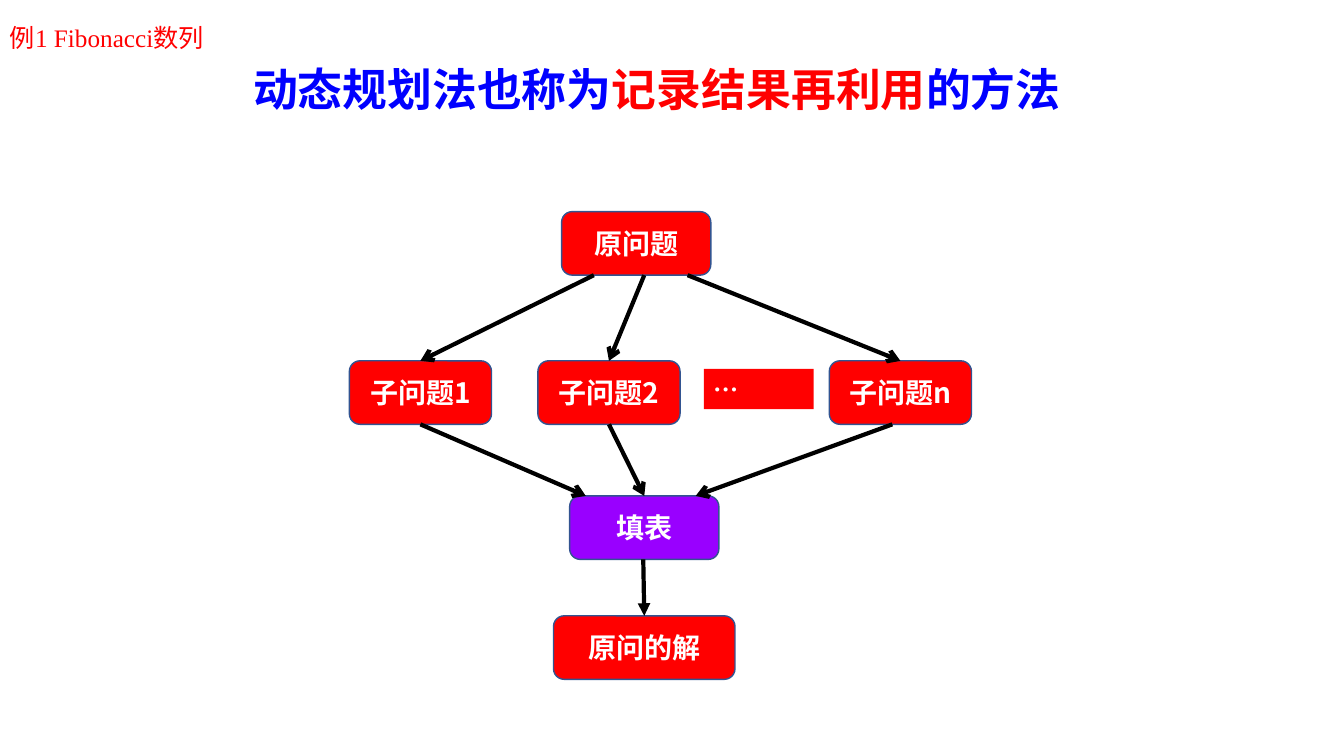
from lxml.etree import SubElement
from pptx import Presentation
from pptx.dml.color import RGBColor
from pptx.enum.lang import MSO_LANGUAGE_ID
from pptx.enum.shapes import MSO_CONNECTOR, MSO_SHAPE
from pptx.enum.text import MSO_ANCHOR, MSO_AUTO_SIZE, PP_ALIGN
from pptx.oxml.ns import qn
from pptx.util import Inches, Pt

COLORS = {"red": "FF0000", "blue": "0000FF", "purple": "9900FF",
          "outline": "325491", "white": "FFFFFF", "black": "000000"}
CJK, LATIN, SERIF = "Noto Sans CJK SC", "Arial", "Times New Roman"

# Rows of the flow chart, and the centre column of each sub-problem
ROW = {"problem": 2.1, "parts": 3.58, "table": 4.92, "answer": 6.11}
COLUMN = {"子问题1": 4.17, "子问题2": 6.04, "子问题n": 8.93}
BOX_HEIGHT = 0.63
PART_WIDTH = 1.41


def add_span(para, text, size, color, font=CJK, bold=True):
    span = para.add_run()
    span.text = text
    span.font.size = Pt(size)
    span.font.bold = bold
    span.font.name = font
    span.font.language_id = MSO_LANGUAGE_ID.SIMPLIFIED_CHINESE
    span.font.color.rgb = RGBColor.from_string(COLORS[color])
    SubElement(span.font._element, qn("a:ea")).set("typeface", CJK)


def add_box(kind, left, top, width, height, fill):
    box = page.shapes.add_shape(kind, Inches(left), Inches(top), Inches(width), Inches(height))
    box.shadow.inherit = False
    box.fill.solid()
    box.fill.fore_color.rgb = RGBColor.from_string(COLORS[fill])
    box.text_frame.word_wrap = True
    return box


deck = Presentation()
deck.slide_width, deck.slide_height = Inches(13.33), Inches(7.5)
page = deck.slides.add_slide(deck.slide_layouts[5])

# Title
title = page.shapes.title
title.left, title.top, title.width, title.height = map(Inches, (2.41, 0.56, 8.51, 0.64))
title.text_frame.word_wrap = True
title.text_frame.auto_size = MSO_AUTO_SIZE.NONE
title.text_frame.vertical_anchor = MSO_ANCHOR.TOP
para = title.text_frame.paragraphs[0]
para.alignment = PP_ALIGN.LEFT
for text, color in (("动态规划法也称为", "blue"), ("记录结果再利用", "red"), ("的方法", "blue")):
    add_span(para, text, 32, color, LATIN)

# Flow chart boxes
boxes = [
    ("原问题", 5.57, ROW["problem"], 1.48, "red"),
    ("原问的解", 5.49, ROW["answer"], 1.8, "red"),
    ("填表", 5.65, ROW["table"], 1.48, "purple"),
]
boxes += [(name, center - PART_WIDTH / 2, ROW["parts"], PART_WIDTH, "red")
          for name, center in COLUMN.items()]
for name, left, top, width, fill in boxes:
    box = add_box(MSO_SHAPE.ROUNDED_RECTANGLE, left, top, width, BOX_HEIGHT, fill)
    box.line.color.rgb = RGBColor.from_string(COLORS["outline"])
    box.line.width = Pt(1)
    box.text_frame.vertical_anchor = MSO_ANCHOR.MIDDLE
    para = box.text_frame.paragraphs[0]
    para.alignment = PP_ALIGN.CENTER
    add_span(para, name, 20, "white")

# Ellipsis between the sub-problems
ellipsis = add_box(MSO_SHAPE.RECTANGLE, 6.98, 3.66, 1.09, 0.4, "red")
ellipsis.line.fill.background()
ellipsis.text_frame.vertical_anchor = MSO_ANCHOR.TOP
para = ellipsis.text_frame.paragraphs[0]
para.alignment = PP_ALIGN.LEFT
add_span(para, "…", 18, "white")

# Arrows: from the foot of one row to the head of the next
arrows = [
    ("problem", 5.89, "parts", COLUMN["子问题1"], "arrow"),
    ("problem", 6.39, "parts", COLUMN["子问题2"], "arrow"),
    ("problem", 6.82, "parts", COLUMN["子问题n"], "arrow"),
    ("parts", COLUMN["子问题1"], "table", 5.81, "arrow"),
    ("parts", COLUMN["子问题2"], "table", 6.39, "arrow"),
    ("parts", 8.85, "table", 6.9, "arrow"),
    ("table", 6.38, "answer", 6.39, "triangle"),
]
for start_row, start_x, end_row, end_x, head in arrows:
    arrow = page.shapes.add_connector(
        MSO_CONNECTOR.STRAIGHT, Inches(start_x), Inches(ROW[start_row] + BOX_HEIGHT),
        Inches(end_x), Inches(ROW[end_row]))
    arrow.line.color.rgb = RGBColor.from_string(COLORS["black"])
    arrow.line.width = Pt(3)
    SubElement(arrow.line._get_or_add_ln(), qn("a:tailEnd")).set("type", head)
    SubElement(arrow._element.spPr, qn("a:effectLst"))

# Example label in the corner
label = page.shapes.add_textbox(0, Inches(0.11), Inches(2.16), Inches(0.43))
label.text_frame.word_wrap = True
para = label.text_frame.paragraphs[0]
para.line_spacing = 1.2
for text, font in (("例", CJK), ("1 Fibonacci", SERIF), ("数列", CJK)):
    add_span(para, text, 18, "red", font, bold=False)

deck.save("out.pptx")
